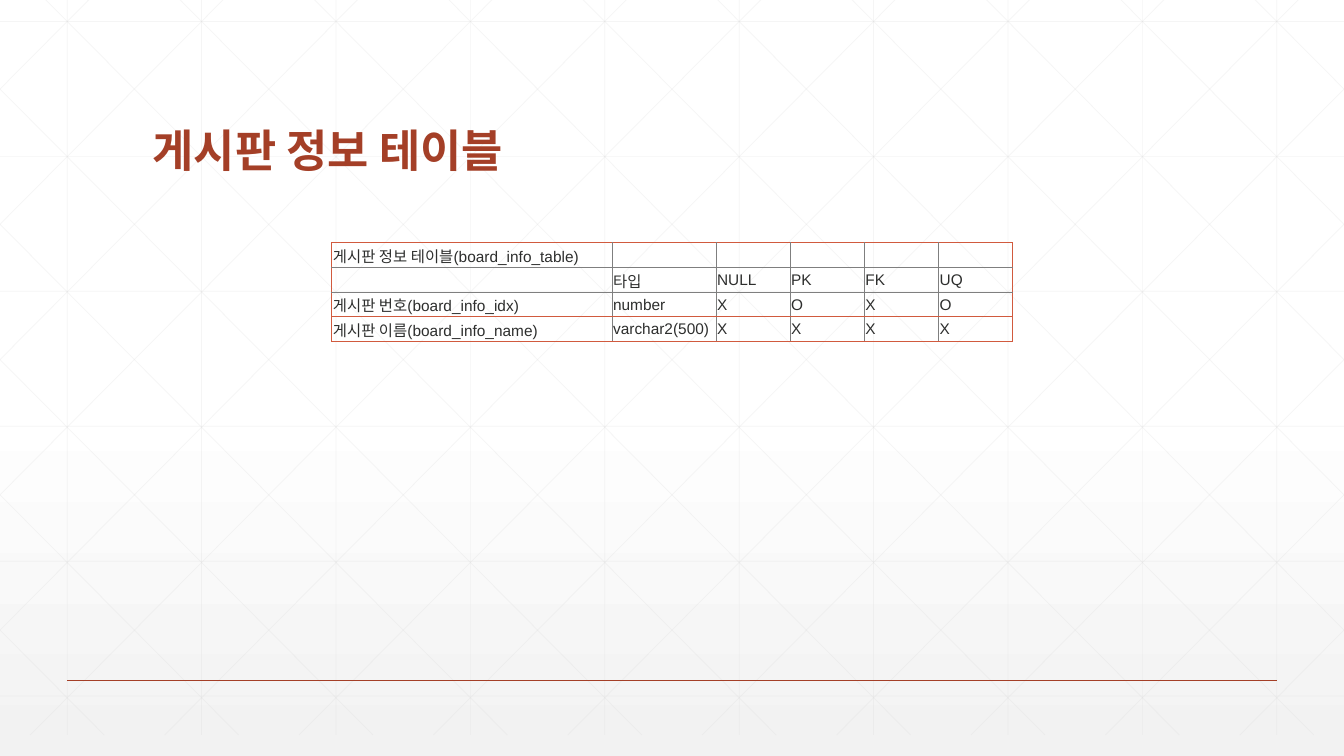
from pptx import Presentation
from pptx.dml.color import RGBColor
from pptx.enum.shapes import MSO_CONNECTOR
from pptx.enum.text import MSO_ANCHOR
from pptx.oxml.ns import qn
from pptx.util import Cm, Pt
from lxml.etree import SubElement
from copy import deepcopy

WHITE = RGBColor(0xFF, 0xFF, 0xFF)
PALE = RGBColor(0xF2, 0xF2, 0xF2)
MESH = RGBColor(0xD9, 0xD9, 0xD9)
RUST = RGBColor(0xA4, 0x3F, 0x27)
CORAL = RGBColor(0xD1, 0x5A, 0x3E)
GREY = RGBColor(0x7F, 0x7F, 0x7F)
INK = RGBColor(0x2D, 0x2E, 0x2D)
HANGUL = "Noto Sans CJK KR"

WIDE, HIGH = 33.87, 19.05
STEP = WIDE / 10
TOP, BASE = -0.53, 18.52
SPAN = 18.93

COLS = [7.06, 2.62] + [1.87] * 4
ROW = 0.62
ROWS = [
    ["게시판 정보 테이블(board_info_table)", "", "", "", "", ""],
    ["", "타입", "NULL", "PK", "FK", "UQ"],
    ["게시판 번호(board_info_idx)", "number", "X", "O", "X", "O"],
    ["게시판 이름(board_info_name)", "varchar2(500)", "X", "X", "X", "X"],
]


def paint_back(slide):
    fill = slide.background.fill
    fill.gradient()
    fill.gradient_angle = 270
    first = fill.gradient_stops[0]._gs
    first.addnext(deepcopy(first))
    for stop, (place, color) in zip(
        fill.gradient_stops, [(0, WHITE), (0.53, WHITE), (1, PALE)]
    ):
        stop.position = place
        stop.color.rgb = color


def add_line(slide, start, end, color, width, alpha=None):
    line = slide.shapes.add_connector(
        MSO_CONNECTOR.STRAIGHT, *[Cm(n) for n in (*start, *end)]
    )
    line.line.color.rgb = color
    line.line.width = Pt(width)
    props = line._element.spPr
    if alpha:
        tint = next(props.iter(qn("a:srgbClr")))
        SubElement(tint, qn("a:alpha"), val=str(alpha * 1000))
    SubElement(props, qn("a:effectLst"))


def add_mesh(slide):
    lines = [((x, TOP), (x, BASE)) for x in (STEP * (i + 0.5) for i in range(10))]
    lines += [((0, y), (WIDE, y)) for y in (0.54 + 3.4 * i for i in range(6))]
    slope = (BASE - TOP) / SPAN
    for i in range(-5, 10):
        x = 0.63 + STEP * i
        left, right = max(x, 0), min(x + SPAN, WIDE)
        high, low = TOP + (left - x) * slope, TOP + (right - x) * slope
        lines.append(((left, high), (right, low)))
        lines.append(((WIDE - left, high), (WIDE - right, low)))
    for start, end in lines:
        add_line(slide, start, end, MESH, 0.5, 25)


def set_font(para, latin, size, color, bold=False):
    font = para.font
    font.name = latin
    font.size = Pt(size)
    font.bold = bold
    font.color.rgb = color
    SubElement(para._p.pPr.find(qn("a:defRPr")), qn("a:ea"), typeface=HANGUL)


def add_title(slide, text):
    box = slide.shapes.add_textbox(Cm(3.6), Cm(1.4), Cm(26.67), Cm(3.18))
    frame = box.text_frame
    frame.word_wrap = True
    frame.vertical_anchor = MSO_ANCHOR.BOTTOM
    para = frame.paragraphs[0]
    para.text = text
    para.line_spacing = 0.9
    set_font(para, HANGUL, 32, RUST, True)


def set_edge(cell, side, color, width):
    edge = SubElement(cell._tc.get_or_add_tcPr(), qn("a:ln" + side), w=str(Pt(width)))
    fill = SubElement(edge, qn("a:solidFill"))
    SubElement(fill, qn("a:srgbClr"), val=str(color))


def fill_cell(cell, text, edges):
    for side, outer in edges.items():
        set_edge(cell, side, CORAL if outer else GREY, 1 if outer else 0.5)
    cell.fill.background()
    cell.margin_left = cell.margin_right = cell.margin_top = Cm(0.03)
    cell.margin_bottom = 0
    cell.vertical_anchor = MSO_ANCHOR.MIDDLE
    para = cell.text_frame.paragraphs[0]
    if text:
        para.text = text
    else:
        para._p.get_or_add_endParaRPr().set("sz", "1100")
    set_font(para, "Arial", 11, INK)


def add_grid(slide):
    last_row, last_col = len(ROWS) - 1, len(COLS) - 1
    table = slide.shapes.add_table(
        len(ROWS), len(COLS), Cm(8.36), Cm(6.12), Cm(sum(COLS)), Cm(ROW * len(ROWS))
    ).table
    table.first_row = table.horz_banding = False
    for col, width in zip(table.columns, COLS):
        col.width = Cm(width)
    for r, texts in enumerate(ROWS):
        table.rows[r].height = Cm(ROW)
        for c, text in enumerate(texts):
            edges = {
                "L": c == 0,
                "R": c == last_col,
                "T": r in (0, last_row),
                "B": r >= last_row - 1,
            }
            fill_cell(table.cell(r, c), text, edges)


def main():
    deck = Presentation()
    deck.slide_width, deck.slide_height = Cm(WIDE), Cm(HIGH)
    slide = deck.slides.add_slide(deck.slide_layouts[6])
    paint_back(slide)
    add_mesh(slide)
    add_line(slide, (STEP / 2, 17.15), (WIDE - STEP / 2, 17.15), RUST, 1)
    add_title(slide, "게시판 정보 테이블")
    add_grid(slide)
    deck.save("out.pptx")


if __name__ == "__main__":
    main()
